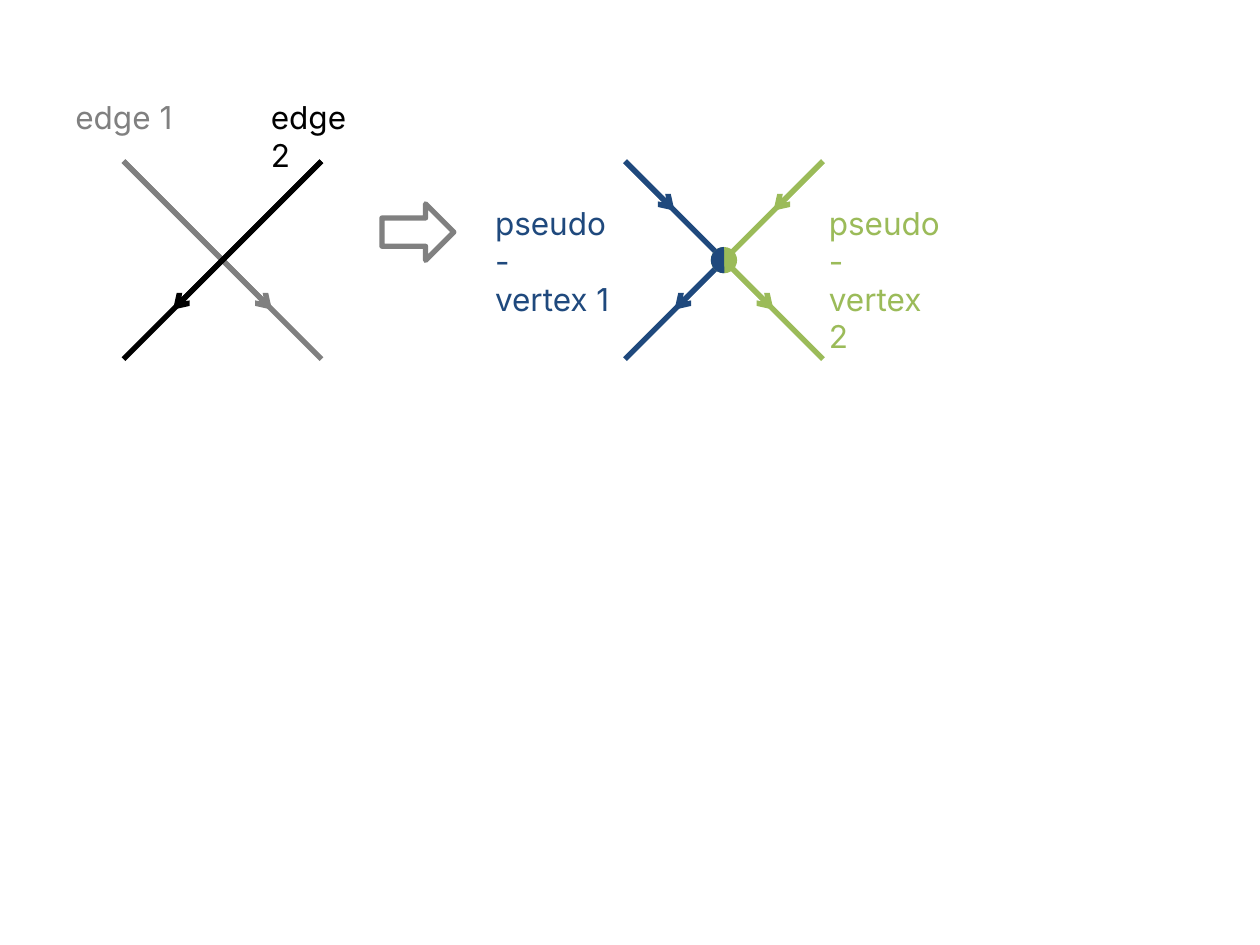
from lxml.etree import SubElement
from pptx import Presentation
from pptx.dml.color import RGBColor
from pptx.enum.shapes import MSO_CONNECTOR, MSO_SHAPE
from pptx.enum.text import MSO_AUTO_SIZE
from pptx.oxml.ns import qn
from pptx.util import Cm, Pt

COLORS = {"first": "808080", "second": "000000", "left": "1F497D", "right": "9BBB59"}
FONT = "Inter"
LINE_WIDTH = Pt(3)


def color(name):
    """Return the named colour."""
    return RGBColor.from_string(COLORS[name])


def add_edge(slide, box, start, end, color_name, arrow=False):
    """Draw a line between two points given as fractions of a square box."""
    left, top, size = box
    points = [Cm(value) for x, y in (start, end) for value in (left + x * size, top + y * size)]
    edge = slide.shapes.add_connector(MSO_CONNECTOR.STRAIGHT, *points)
    edge.line.width = LINE_WIDTH
    edge.line.color.rgb = color(color_name)
    if arrow:
        SubElement(edge.line._get_or_add_ln(), qn("a:tailEnd"), type="arrow")
    SubElement(edge._element.spPr, qn("a:effectLst"))


def add_label(slide, box, lines, color_name):
    """Place a wrapped label, one paragraph for each line."""
    label = slide.shapes.add_textbox(*(Cm(value) for value in box))
    text_frame = label.text_frame
    text_frame.word_wrap = True
    text_frame.auto_size = MSO_AUTO_SIZE.SHAPE_TO_FIT_TEXT
    text_frame.text = "\n".join(lines)
    for paragraph in text_frame.paragraphs:
        font = paragraph.runs[0].font
        font.name = FONT
        font.size = Pt(18)
        font.color.rgb = color(color_name)


def add_crossing(slide, box):
    """Draw two directed edges that cross, with their labels above."""
    left, top, _ = box
    for x, label_offset, text, name in ((0, -1.22, "edge 1", "first"), (1, 2.72, "edge 2", "second")):
        start, end = (x, 0), (1 - x, 1)
        arrow_tip = (x + 0.75 * (1 - 2 * x), 0.75)
        add_edge(slide, box, start, end, name)
        add_edge(slide, box, start, arrow_tip, name, arrow=True)
        add_label(slide, (left + label_offset, top - 1.4, 2.46, 1.02), [text], name)


def add_transition(slide, box):
    """Draw the hollow arrow between the two diagrams."""
    arrow = slide.shapes.add_shape(MSO_SHAPE.RIGHT_ARROW, *(Cm(value) for value in box))
    arrow.shadow.inherit = False
    arrow.fill.background()
    arrow.line.width = LINE_WIDTH
    arrow.line.color.rgb = color("first")


def add_vertex(slide, box):
    """Draw the two-coloured vertex at the centre of a square box."""
    left, top, size = box
    diameter = 0.53
    offset = (size - diameter) / 2
    group = slide.shapes.add_group_shape()
    for kind, name in ((MSO_SHAPE.OVAL, "right"), (MSO_SHAPE.CHORD, "left")):
        disc = group.shapes.add_shape(
            kind, Cm(left + offset), Cm(top + offset), Cm(diameter), Cm(diameter))
        disc.shadow.inherit = False
        disc.fill.solid()
        disc.fill.fore_color.rgb = color(name)
        disc.line.fill.background()
    disc.adjustments[0] = 52.96
    disc.adjustments[1] = 162


def add_split_crossing(slide, box):
    """Draw the crossing split into two pseudo-vertices, with labels."""
    left, top, _ = box
    center = (0.5, 0.5)
    sides = ((0, 0.25, -2.87, "vertex 1", "left"), (1, 0.75, 3.86, "vertex 2", "right"))
    for x, arrow_x, label_offset, text, name in sides:
        add_edge(slide, box, (x, 0), center, name)
        add_edge(slide, box, (x, 0), (arrow_x, 0.25), name, arrow=True)
        add_edge(slide, box, center, (x, 1), name)
        add_edge(slide, box, center, (arrow_x, 0.75), name, arrow=True)
        add_label(slide, (left + label_offset, top + 0.74, 2.87, 1.8), ["pseudo-", text], name)
    add_vertex(slide, box)


def main():
    """Build and save the presentation."""
    presentation = Presentation()
    presentation.slide_width = Cm(25.4)
    presentation.slide_height = Cm(19.05)
    slide = presentation.slides.add_slide(presentation.slide_layouts[6])
    add_crossing(slide, (2.49, 3.25, 3.99))
    add_transition(slide, (7.7, 4.11, 1.45, 1.14))
    add_split_crossing(slide, (12.6, 3.25, 3.99))
    presentation.save("out.pptx")


if __name__ == "__main__":
    main()
